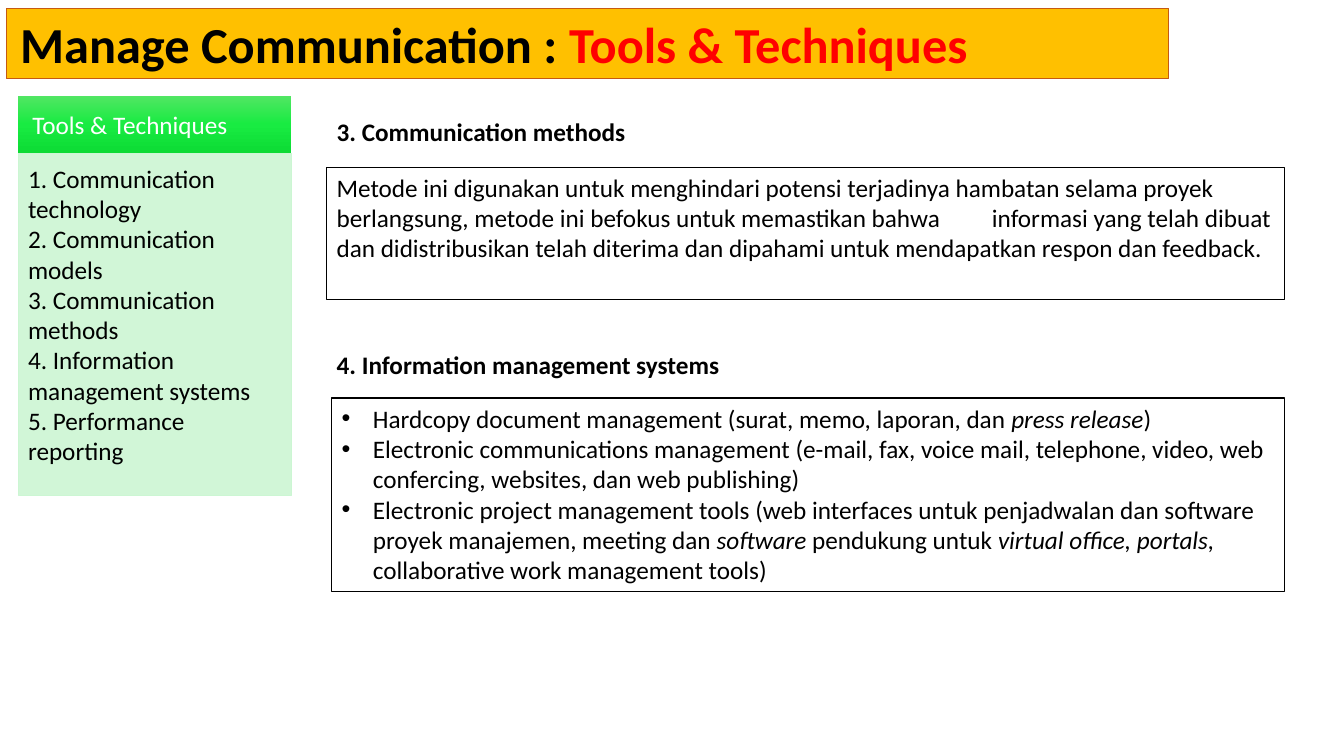
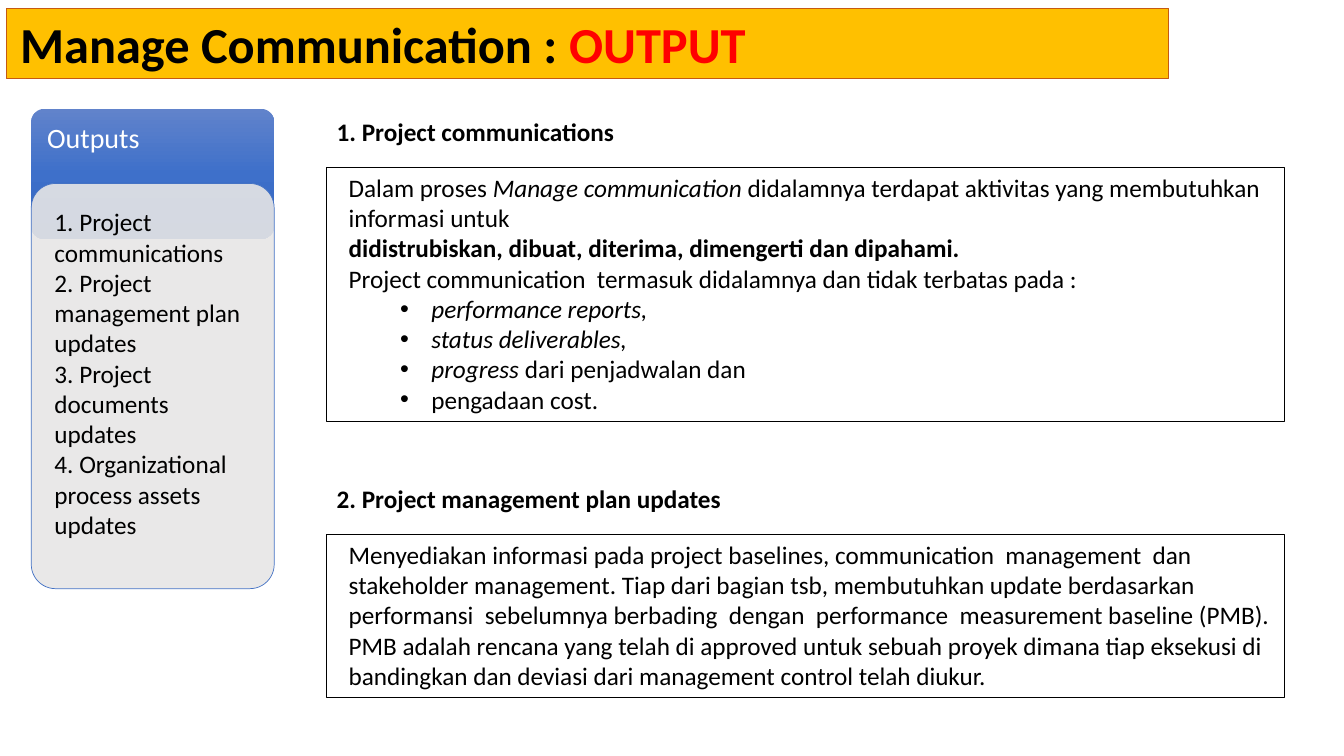
from copy import deepcopy
from dataclasses import dataclass

from lxml import etree
from pptx import Presentation
from pptx.dml.color import RGBColor
from pptx.enum import shapes, text
from pptx.oxml import ns
from pptx.util import Inches, Pt

RECT = shapes.MSO_SHAPE.RECTANGLE
ROUND = shapes.MSO_SHAPE.ROUNDED_RECTANGLE
TOP = text.MSO_ANCHOR.TOP
MID = text.MSO_ANCHOR.MIDDLE


@dataclass(frozen=True)
class Theme:
    font: str = "Calibri"
    title: int = 36
    head: int = 20
    body: int = 18
    ink: str = "000000"
    paper: str = "FFFFFF"
    accent: str = "FF0000"
    band: str = "FFC000"
    edge: str = "C55A11"
    mint: str = "CCF6D3"
    gray: str = "E7E6E6"
    blue: str = "4472C4"
    greens: tuple = ("51E663", "19EB42", "0CDB34")
    blues: tuple = ("6183CB", "3E70CA", "3062BB")


T = Theme()
BODY_X, BODY_W = 3.24, 9.5
INSET = (0.1, 0.05, 0.1, 0.05)


def rgb(code):
    return RGBColor.from_string(code)


def add(parent, tag, **attrs):
    node = etree.SubElement(parent, ns.qn(tag))
    for key, value in attrs.items():
        node.set(key, str(value))
    return node


def write(frame, words, size=T.body, color=T.ink, bold=False, alt=None,
          left=0, hang=0, bullet=False, tab=None, lead=None):
    """Append a paragraph; parts between asterisks get the alt format."""
    para = frame.paragraphs[0]
    if para.runs:
        para = frame.add_paragraph()
    para.alignment = text.PP_ALIGN.LEFT
    if lead:
        para.line_spacing = lead
    props = para._p.get_or_add_pPr()
    props.set("marL", str(Inches(left)))
    props.set("indent", str(Inches(-hang)))
    if bullet:
        add(props, "a:buFont", typeface="Arial")
        add(props, "a:buChar", char="•")
    if tab:
        add(add(props, "a:tabLst"), "a:tab", pos=Inches(tab), algn="l")
    base = dict(color=color, bold=bold, italic=False)
    other = {**base, **(alt or {"italic": True})}
    for i, part in enumerate(words.split("*")):
        if part:
            look = other if i % 2 else base
            run = para.add_run()
            run.text = part
            run.font.name, run.font.size = T.font, Pt(size)
            run.font.bold, run.font.italic = look["bold"], look["italic"]
            run.font.color.rgb = rgb(look["color"])


class Deck:
    def __init__(self):
        self.prs = Presentation()
        self.prs.slide_width = Inches(13.33)
        self.prs.slide_height = Inches(7.5)
        self.slide = None

    def frame(self, shape, inset=INSET, anchor=TOP):
        frame = shape.text_frame
        frame.word_wrap = True
        frame.auto_size = text.MSO_AUTO_SIZE.NONE
        frame.vertical_anchor = anchor
        (frame.margin_left, frame.margin_top,
         frame.margin_right, frame.margin_bottom) = map(Inches, inset)
        return frame

    def paint(self, shape, fill, line=None, width=1.0):
        shape.fill.solid()
        shape.fill.fore_color.rgb = rgb(fill)
        if line:
            shape.line.color.rgb = rgb(line)
            shape.line.width = Pt(width)

    def start(self, topic):
        self.slide = self.prs.slides.add_slide(self.prs.slide_layouts[5])
        title = self.slide.shapes.title
        title.left, title.top = Inches(0.06), Inches(0.08)
        title.width, title.height = Inches(11.53), Inches(0.7)
        self.paint(title, T.band, T.edge, 0.75)
        frame = self.frame(title, (0.14, 0.05, 0.09, 0.05))
        write(frame, f"Manage Communication : *{topic}*", size=T.title,
              bold=True, alt={"color": T.accent})

    def shape(self, kind, area):
        shape = self.slide.shapes.add_shape(kind, *map(Inches, area))
        shape.shadow.inherit = False
        if kind == ROUND:
            shape.adjustments[0] = 0.1
        return shape

    def head(self, words, kind, area, shades, inset, anchor, **fmt):
        """Gradient header of a side panel."""
        shape = self.shape(kind, area)
        shape.line.fill.background()
        shape.fill.gradient()
        shape.fill.gradient_angle = 270
        stops = shape._element.spPr.find(".//" + ns.qn("a:gsLst"))
        stops.insert(1, deepcopy(stops[0]))
        for i, stop in enumerate(shape.fill.gradient_stops):
            stop.position = i / 2
            stop.color.rgb = rgb(shades[i])
        write(self.frame(shape, inset, anchor), words, color=T.paper, **fmt)

    def panel(self, items, kind, area, fill, line, inset):
        """Translucent side panel with a numbered list."""
        shape = self.shape(kind, area)
        self.paint(shape, fill, line, 0.5)
        tint = shape._element.spPr.find(
            ns.qn("a:solidFill") + "/" + ns.qn("a:srgbClr"))
        add(tint, "a:alpha", val=90000)
        frame = self.frame(shape, inset)
        for num, item in enumerate(items, 1):
            write(frame, f"{num}. {item}")

    def label(self, words, top):
        area = BODY_X, top, 6.25, 0.4
        box = self.slide.shapes.add_textbox(*map(Inches, area))
        write(self.frame(box), words, bold=True)

    def box(self, lines, top, high, left=BODY_X):
        """Outlined box; each line is a (words, format) pair."""
        wide = BODY_X + BODY_W - left
        shape = self.shape(RECT, (left, top, wide, high))
        self.paint(shape, T.paper, T.ink)
        frame = self.frame(shape)
        for words, fmt in lines:
            write(frame, words, **fmt)


def tools(deck):
    deck.start("Tools & Techniques")
    deck.head("Tools & Techniques", RECT, (0.18, 0.95, 2.71, 0.57), T.greens,
              (0.14, 0.08, 0.14, 0.08), MID)
    deck.panel(["Communication technology", "Communication models",
                "Communication methods", "Information management systems",
                "Performance reporting"],
               RECT, (0.18, 1.52, 2.71, 3.39), T.mint, T.mint,
               (0.1, 0.1, 0.14, 0.16))
    deck.label("3. Communication methods", 1.1)
    deck.box([("Metode ini digunakan untuk menghindari potensi terjadinya "
               "hambatan selama proyek berlangsung, metode ini befokus untuk "
               "memastikan bahwa \tinformasi yang telah dibuat dan "
               "didistribusikan telah diterima dan dipahami untuk mendapatkan "
               "respon dan feedback.", dict(tab=7))], 1.66, 1.31)
    deck.label("4. Information management systems", 3.42)
    point = dict(bullet=True, left=0.31, hang=0.31)
    systems = [
        "Hardcopy document management (surat, memo, laporan, dan "
        "*press release*)",
        "Electronic communications management (e-mail, fax, voice mail, "
        "telephone, video, web confercing, websites, dan web publishing)",
        "Electronic project management tools (web interfaces untuk "
        "penjadwalan dan software proyek manajemen, meeting dan* software "
        "*pendukung untuk *virtual office, portals, *collaborative work "
        "management tools)",
    ]
    deck.box([(words, point) for words in systems], 3.95, 1.92, left=3.29)


def output(deck):
    deck.start("OUTPUT")
    deck.head("Outputs", ROUND, (0.31, 1.08, 2.41, 1.29), T.blues,
              (0.12, 0.12, 0.12, 0.08), TOP, size=T.head, lead=0.9)
    deck.panel(["Project communications", "Project management plan updates",
                "Project documents updates",
                "Organizational process assets updates"],
               ROUND, (0.31, 1.82, 2.41, 4.02), T.gray, T.blue, (0.16,) * 4)
    deck.label("1. Project communications", 1.1)
    plain = dict(left=0.12)
    point = dict(bullet=True, left=0.94, hang=0.31)
    deck.box([
        ("Dalam proses *Manage communication *didalamnya terdapat aktivitas "
         "yang membutuhkan informasi untuk", plain),
        ("didistrubiskan, dibuat, diterima, dimengerti dan dipahami.",
         dict(plain, bold=True)),
        ("Project communication  termasuk didalamnya dan tidak terbatas "
         "pada :", plain),
        ("*performance reports,*", point),
        ("*status deliverables,*", point),
        ("*progress *dari penjadwalan dan", point),
        ("pengadaan cost.", point),
    ], 1.66, 2.52)
    deck.label("2. Project management plan updates", 4.75)
    deck.box([("Menyediakan informasi pada project baselines, communication  "
               "management  dan  stakeholder management. Tiap dari bagian "
               "tsb, membutuhkan update berdasarkan performansi  sebelumnya "
               "berbading  dengan  performance  measurement baseline (PMB). "
               "PMB adalah rencana yang telah di approved untuk sebuah proyek "
               "dimana tiap eksekusi di bandingkan dan deviasi dari "
               "management control telah diukur.", plain)], 5.3, 1.62)


def main():
    deck = Deck()
    tools(deck)
    output(deck)
    deck.prs.save("out.pptx")


if __name__ == "__main__":
    main()
